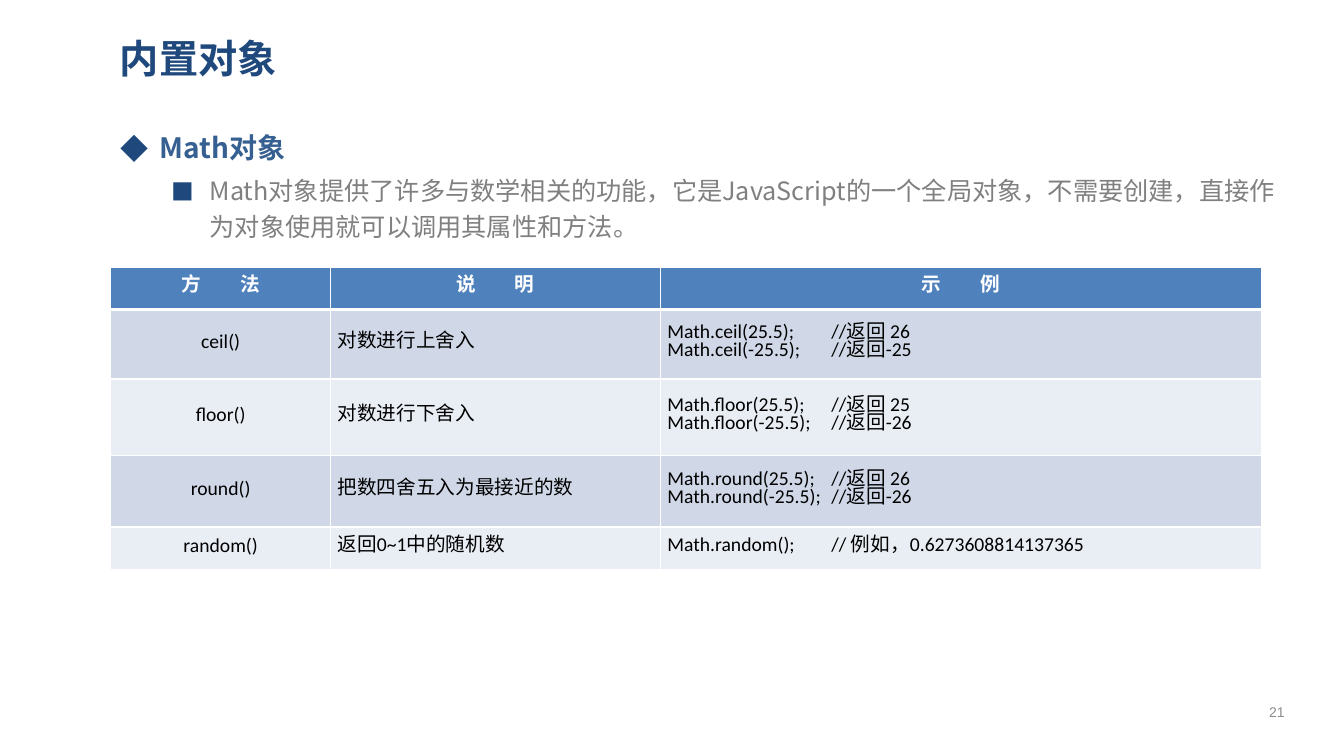
from dataclasses import dataclass

from lxml import etree
from pptx import Presentation
from pptx import util as u
from pptx.dml.color import RGBColor
from pptx.enum import text
from pptx.oxml.ns import qn


@dataclass(frozen=True)
class Theme:
    """Colours, fonts and type sizes of the slide."""
    navy: str = "1F497D"
    blue: str = "376092"
    grey: str = "808080"
    pale_grey: str = "8C8C8C"
    header: str = "4F81BD"
    bands: tuple = ("D0D8E8", "E9EDF4")
    white: str = "FFFFFF"
    black: str = "000000"
    heading_font: str = "Noto Sans CJK SC"
    table_font: str = "Calibri"
    number_font: str = "Arial"
    title_size: int = 28
    topic_size: int = 20
    detail_size: int = 18
    table_size: int = 14
    number_size: int = 10


THEME = Theme()
SLIDE_WIDTH, SLIDE_HEIGHT = u.Inches(13.33), u.Inches(7.5)
COLUMN, ROW = SLIDE_WIDTH / 100, SLIDE_HEIGHT / 100
TABLE_COLUMNS = (16.35, 24.53, 44.78)
TABLE_ROWS = (5.6, 9.2, 10.13, 9.47, 5.6)
COMMENT_TAB = 12.2
HEADINGS = ("方　　法", "说　　明", "示　　例")
METHODS = (
    ("ceil()", "对数进行上舍入", "Math.ceil(25.5);\t//返回 26\nMath.ceil(-25.5);\t//返回-25"),
    ("floor()", "对数进行下舍入", "Math.floor(25.5);\t//返回 25\nMath.floor(-25.5);\t//返回-26"),
    ("round()", "把数四舍五入为最接近的数", "Math.round(25.5);\t//返回 26\nMath.round(-25.5);\t//返回-26"),
    ("random()", "返回0~1中的随机数", "Math.random();\t// 例如，0.6273608814137365"),
)


def columns(count):
    """Return a width of grid columns."""
    return u.Emu(round(count * COLUMN))


def rows(count):
    """Return a height of grid rows."""
    return u.Emu(round(count * ROW))


def add_xml(parent, tag, **attributes):
    """Append a drawing element and return it."""
    return etree.SubElement(parent, qn(f"a:{tag}"), attributes)


def style(paragraph, font_name, size, color, bold=False):
    """Set the font of a paragraph for both scripts."""
    font = paragraph.font
    font.name, font.size, font.bold = font_name, u.Pt(size), bold
    font.color.rgb = RGBColor.from_string(color)
    properties = paragraph._p.pPr.find(qn("a:defRPr"))
    add_xml(properties, "ea", typeface=THEME.heading_font)


def add_text_frame(slide, left, top, width, height, anchor):
    """Add a wrapping text box on the grid and return its frame."""
    shape = slide.shapes.add_textbox(columns(left), rows(top), columns(width), rows(height))
    frame = shape.text_frame
    frame.word_wrap = True
    frame.vertical_anchor = anchor
    frame.margin_left = frame.margin_right = u.Inches(0.09)
    frame.margin_top = frame.margin_bottom = u.Inches(0.04)
    return frame


def add_line(slide, area, words, font, alignment):
    """Add one vertically centred line of text."""
    paragraph = add_text_frame(slide, *area, text.MSO_ANCHOR.MIDDLE).paragraphs[0]
    paragraph.text = words
    paragraph.alignment = alignment
    style(paragraph, *font)


def write_bullet(paragraph, words, symbol, indent, symbol_size, font):
    """Write a bulleted paragraph with a hanging indent."""
    paragraph.text = words
    paragraph.line_spacing = 1.2
    paragraph.space_before = u.Pt(0.2 * font[1])
    properties = paragraph._p.get_or_add_pPr()
    properties.set("marL", str(u.Inches(indent)))
    properties.set("indent", str(-u.Inches(0.38)))
    add_xml(add_xml(properties, "buClr"), "srgbClr", val=THEME.navy)
    add_xml(properties, "buSzPct", val=str(symbol_size * 1000))
    add_xml(properties, "buFont", typeface=THEME.heading_font)
    add_xml(properties, "buChar", char=symbol)
    style(paragraph, *font)


def add_borders(cell, bottom, top):
    """Draw white lines around a cell, with given widths in points."""
    properties = cell._tc.get_or_add_tcPr()
    for side, width in (("L", 1), ("R", 1), ("T", top), ("B", bottom)):
        line = add_xml(properties, f"ln{side}", w=str(u.Pt(width)))
        add_xml(add_xml(line, "solidFill"), "srgbClr", val=THEME.white)


def write_cell(cell, words, row, column):
    """Write and format a header or body cell."""
    is_header = row == 0
    add_borders(cell, bottom=3 if is_header else 1, top=3 if row == 1 else 1)
    cell.fill.solid()
    fill = THEME.header if is_header else THEME.bands[(row - 1) % 2]
    cell.fill.fore_color.rgb = RGBColor.from_string(fill)
    cell.vertical_anchor = text.MSO_ANCHOR.MIDDLE
    cell.margin_left = cell.margin_right = u.Inches(0.07)
    cell.margin_top = cell.margin_bottom = 0
    cell.text = words
    centred = is_header or column == 0
    for paragraph in cell.text_frame.paragraphs:
        paragraph.alignment = text.PP_ALIGN.CENTER if centred else text.PP_ALIGN.LEFT
        paragraph.line_spacing = u.Pt(13)
        if "\t" in words:
            tabs = add_xml(paragraph._p.get_or_add_pPr(), "tabLst")
            add_xml(tabs, "tab", pos=str(columns(COMMENT_TAB)), algn="l")
        color = THEME.white if is_header else THEME.black
        style(paragraph, THEME.table_font, THEME.table_size, color, is_header)


def add_method_table(slide, left, top):
    """Add the table of methods with examples."""
    shape = slide.shapes.add_table(
        len(TABLE_ROWS), len(TABLE_COLUMNS), columns(left), rows(top),
        columns(sum(TABLE_COLUMNS)), rows(sum(TABLE_ROWS)))
    table = shape.table
    table.horz_banding = False
    for column, width in zip(table.columns, TABLE_COLUMNS):
        column.width = columns(width)
    for row, height in zip(table.rows, TABLE_ROWS):
        row.height = rows(height)
    for row, entries in enumerate((HEADINGS, *METHODS)):
        for column, words in enumerate(entries):
            write_cell(table.cell(row, column), words, row, column)


def main():
    """Build and save the slide."""
    presentation = Presentation()
    presentation.slide_width, presentation.slide_height = SLIDE_WIDTH, SLIDE_HEIGHT
    slide = presentation.slides.add_slide(presentation.slide_layouts[6])
    body = add_text_frame(slide, 8.33, 15.87, 87.4, 75.73, text.MSO_ANCHOR.TOP)
    write_bullet(body.paragraphs[0], "Math对象", "◆", 0.38, 100,
                 (THEME.heading_font, THEME.topic_size, THEME.blue, True))
    write_bullet(body.add_paragraph(),
                 "Math对象提供了许多与数学相关的功能，它是JavaScript的一个全局对象，"
                 "不需要创建，直接作为对象使用就可以调用其属性和方法。", "■", 0.88, 90,
                 (THEME.heading_font, THEME.detail_size, THEME.grey))
    add_line(slide, (8.25, 3.2, 87.4, 8.93), "内置对象",
             (THEME.heading_font, THEME.title_size, THEME.navy, True), text.PP_ALIGN.LEFT)
    add_method_table(slide, 8.25, 35.33)
    add_line(slide, (92.57, 91.47, 4.88, 5.33), "21",
             (THEME.number_font, THEME.number_size, THEME.pale_grey), text.PP_ALIGN.CENTER)
    presentation.save("out.pptx")


if __name__ == "__main__":
    main()
